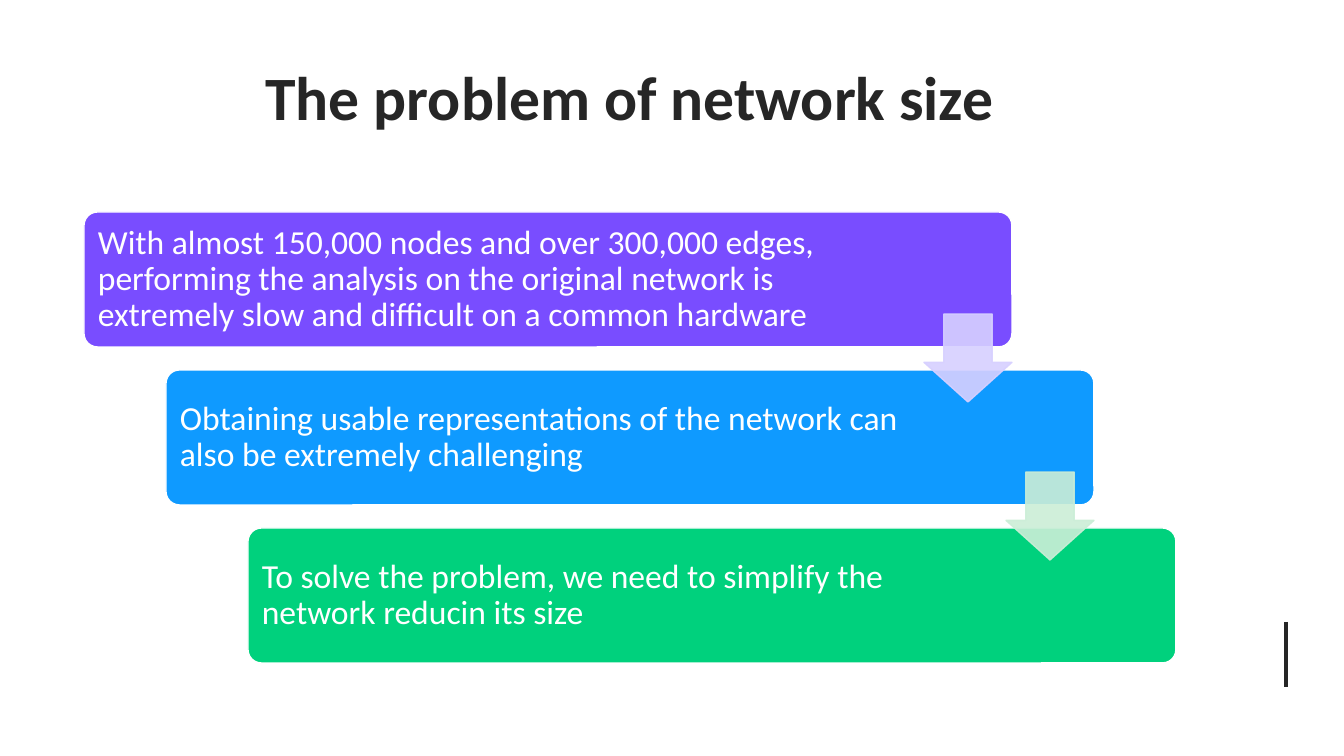
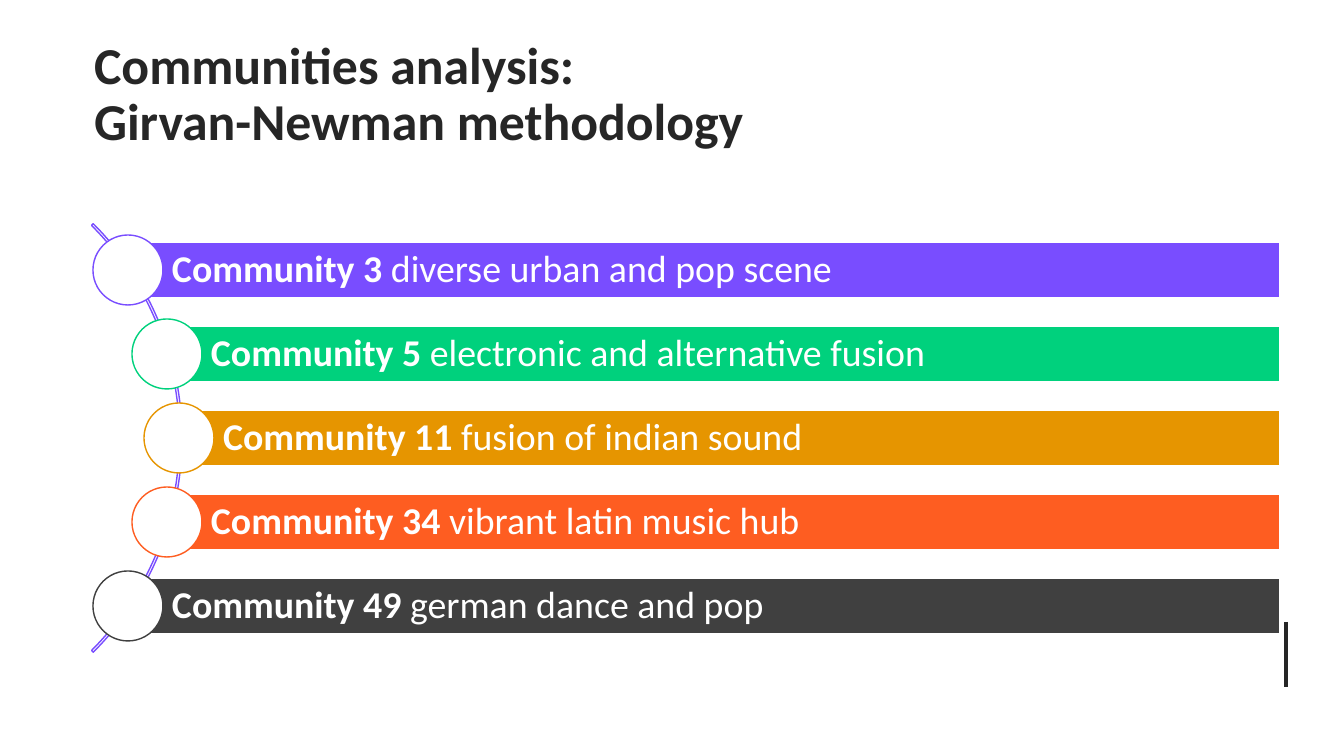
"""Builds two slides about shrinking and grouping a large network."""
from dataclasses import dataclass
from math import sqrt

from lxml import etree
from pptx import Presentation
from pptx.dml.color import RGBColor
from pptx.enum.shapes import MSO_CONNECTOR, MSO_SHAPE
from pptx.enum.text import MSO_ANCHOR, PP_ALIGN
from pptx.oxml.ns import qn
from pptx.util import Emu, Pt

LEFT, CENTER = PP_ALIGN.LEFT, PP_ALIGN.CENTER
MIDDLE = MSO_ANCHOR.MIDDLE
STRAIGHT = MSO_CONNECTOR.STRAIGHT
RECTANGLE, ROUNDED = MSO_SHAPE.RECTANGLE, MSO_SHAPE.ROUNDED_RECTANGLE
OVAL, ARC, DOWN_ARROW = MSO_SHAPE.OVAL, MSO_SHAPE.BLOCK_ARC, MSO_SHAPE.DOWN_ARROW
EMU_PER_PX = 914400 / 100.8
TITLE_ONLY = 5


def px(length):
    return Emu(round(length * EMU_PER_PX))


@dataclass(frozen=True)
class Theme:
    font: str = "Calibri"
    ink: str = "262626"
    white: str = "FFFFFF"
    violet: str = "794DFF"
    blue: str = "0F9AFF"
    green: str = "00D17D"
    amber: str = "E69500"
    orange: str = "FE5D21"
    gray: str = "404040"
    pale_violet: str = "D7D0FF"
    pale_green: str = "CBEED7"
    title_size: int = 44
    long_title_size: int = 37
    step_size: int = 24
    community_size: int = 27
    outline: int = 1
    accent: int = 3
    tight: float = 0.9


class Deck:
    def __init__(self, theme):
        self.theme = theme
        self.presentation = Presentation()
        self.presentation.slide_width = px(1344)
        self.presentation.slide_height = px(756)
        self.slide = None

    def new_slide(self, title_lines, size, align, spacing):
        layout = self.presentation.slide_layouts[TITLE_ONLY]
        self.slide = self.presentation.slides.add_slide(layout)
        title = self.slide.shapes.title
        title.left, title.top, title.width, title.height = map(px, (84, 32, 1092, 128))
        self.add_text(title, [(line, True) for line in title_lines], size, self.theme.ink,
                      align, spacing, one_per_line=True)
        self.accent_line()

    def accent_line(self):
        accent = self.slide.shapes.add_connector(STRAIGHT, px(1286), px(622), px(1286), px(687))
        accent.line.color.rgb = RGBColor.from_string(self.theme.ink)
        accent.line.width = Pt(self.theme.accent)
        etree.SubElement(accent.element.spPr, qn("a:effectLst"))

    def shape(self, preset, box, fill, line, adjustments=(), opacity=None):
        shape = self.slide.shapes.add_shape(preset, *map(px, box))
        shape.shadow.inherit = False
        for index, value in enumerate(adjustments):
            shape.adjustments[index] = value
        if fill:
            shape.fill.solid()
            shape.fill.fore_color.rgb = RGBColor.from_string(fill)
        else:
            shape.fill.background()
        shape.line.color.rgb = RGBColor.from_string(line)
        shape.line.width = Pt(self.theme.outline)
        if opacity:
            for color in shape.element.iter(qn("a:srgbClr")):
                etree.SubElement(color, qn("a:alpha"), val=str(opacity * 1000))
        return shape

    def add_text(self, shape, runs, size, color, align=LEFT, spacing=1.0, insets=None,
                 one_per_line=False):
        frame = shape.text_frame
        frame.word_wrap = True
        frame.vertical_anchor = MIDDLE
        if insets:
            (frame.margin_left, frame.margin_top,
             frame.margin_right, frame.margin_bottom) = map(px, insets)
        paragraph = frame.paragraphs[0]
        paragraph.alignment = align
        paragraph.line_spacing = spacing
        for index, (text, bold) in enumerate(runs):
            if index and one_per_line:
                paragraph.add_line_break()
            run = paragraph.add_run()
            run.text = text
            run.font.name = self.theme.font
            run.font.size = Pt(size)
            run.font.bold = bold
            run.font.color.rgb = RGBColor.from_string(color)

    def step(self, left, top, color, text):
        theme = self.theme
        card = self.shape(ROUNDED, (left, top, 928, 135), color, theme.white, [0.1])
        self.add_text(card, [(text, False)], theme.step_size, theme.white,
                      spacing=theme.tight, insets=(10, 10, 179, 10))

    def step_arrow(self, left, top, color):
        self.shape(DOWN_ARROW, (left, top, 88, 88), color, color, [0.55, 0.45], opacity=90)

    def community(self, center_x, center_y, color, name, description):
        theme = self.theme
        bar = self.shape(RECTANGLE, (center_x, center_y - 28, 1280 - center_x, 56),
                         color, theme.white)
        self.add_text(bar, [(name + " ", True), (description, False)], theme.community_size,
                      theme.white, spacing=theme.tight, insets=(44, 7, 7, 7))
        self.shape(OVAL, (center_x - 35, center_y - 35, 70, 70), theme.white, color)


def network_size(deck):
    theme = deck.theme
    deck.new_slide(["The problem of network size"], theme.title_size, CENTER, 1.0)
    steps = [
        (theme.violet, "With almost 150,000 nodes and over 300,000 edges, performing the "
                       "analysis on the original network is extremely slow and difficult "
                       "on a common hardware"),
        (theme.blue, "Obtaining usable representations of the network can also be "
                     "extremely challenging"),
        (theme.green, "To solve the problem, we need to simplify the network reducin its size"),
    ]
    corners = [(84 + 82 * index, 212 + 158 * index) for index in range(len(steps))]
    for (left, top), (color, text) in zip(corners, steps):
        deck.step(left, top, color, text)
    for (left, top), color in zip(corners, (theme.pale_violet, theme.pale_green)):
        deck.step_arrow(left + 840, top + 102, color)


def communities(deck):
    theme = deck.theme
    deck.new_slide(["Communities analysis:", "Girvan-Newman methodology"],
                   theme.long_title_size, LEFT, theme.tight)
    arc_x, arc_y, arc_radius, row_radius, pitch = -121, 438, 303, 300, 84
    deck.shape(ARC, (arc_x - arc_radius, arc_y - arc_radius, 2 * arc_radius, 2 * arc_radius),
               None, theme.violet, [189, 27, 0.004])
    rows = [
        (theme.violet, "Community 3", "diverse urban and pop scene"),
        (theme.green, "Community 5", "electronic and alternative fusion"),
        (theme.amber, "Community 11", "fusion of indian sound"),
        (theme.orange, "Community 34", "vibrant latin music hub"),
        (theme.gray, "Community 49", "german dance and pop"),
    ]
    for index, row in enumerate(rows):
        offset = pitch * (index - len(rows) // 2)
        center_x = arc_x + round(sqrt(row_radius ** 2 - offset ** 2))
        deck.community(center_x, arc_y + offset, *row)


def main():
    deck = Deck(Theme())
    network_size(deck)
    communities(deck)
    deck.presentation.save("out.pptx")


if __name__ == "__main__":
    main()
